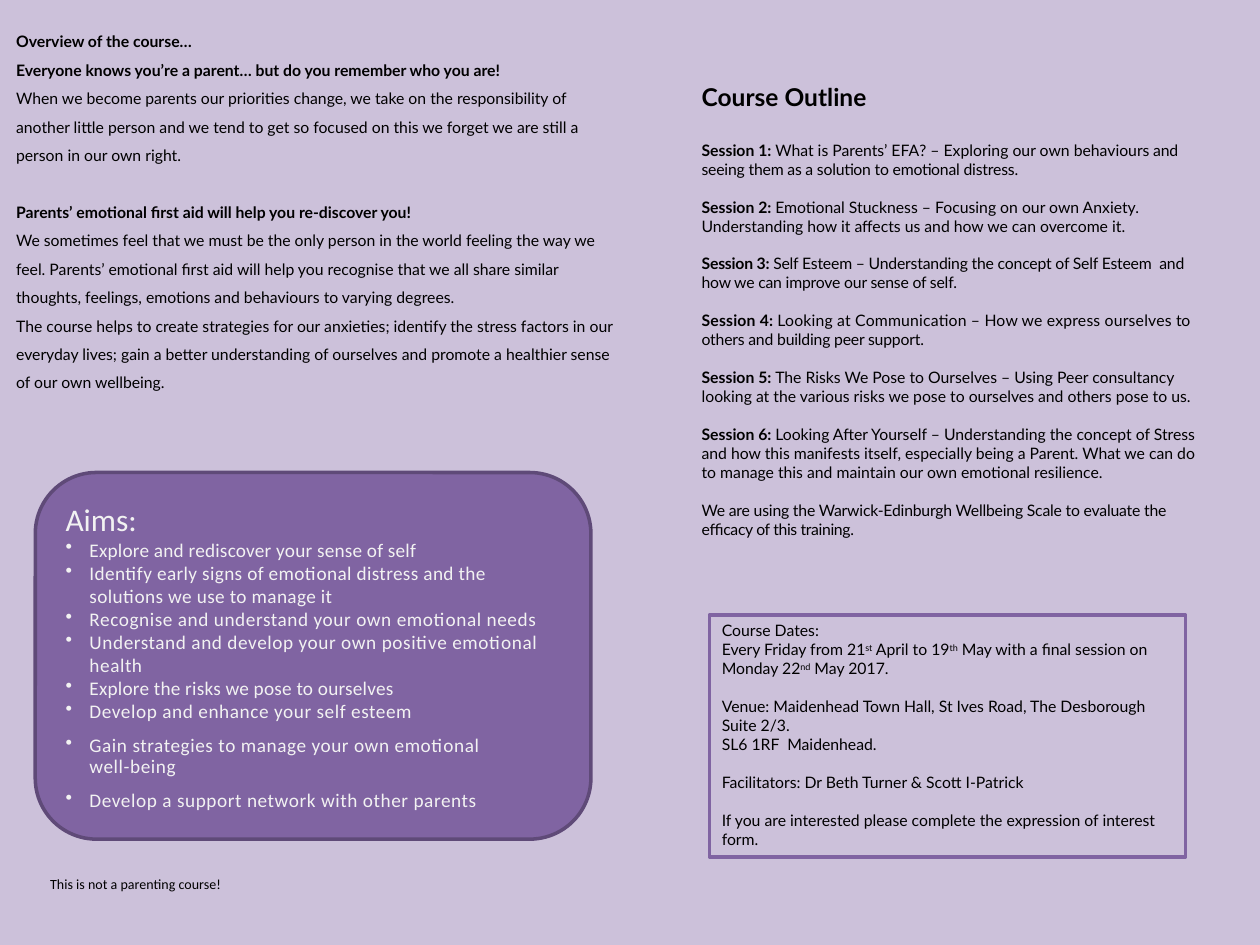
import pptx
import pptx.util
import pptx.dml.color
import pptx.enum.shapes
import pptx.enum.text
from lxml import etree

Inches, Pt = pptx.util.Inches, pptx.util.Pt
RGB = pptx.dml.color.RGBColor
Shape = pptx.enum.shapes.MSO_SHAPE
Align = pptx.enum.text.PP_ALIGN
Anchor = pptx.enum.text.MSO_ANCHOR

LILAC = RGB(0xCC, 0xC1, 0xDA)
PURPLE = RGB(0x80, 0x64, 0xA2)
PLUM = RGB(0x5F, 0x4A, 0x78)
PALE = RGB(0xF2, 0xF2, 0xF2)
BLACK = RGB(0, 0, 0)


class Page:
    """Holds the slide and the text style in use."""

    def __init__(self, slide):
        self.slide = slide
        self.style("Lato", 9, BLACK)

    def style(self, font, size, color):
        self.font, self.size, self.color = font, size, color

    def frame(self, shape, anchor):
        frame = shape.text_frame
        frame.word_wrap = True
        frame.vertical_anchor = anchor
        return frame

    def text(self, left, top, width, height):
        box = self.slide.shapes.add_textbox(
            Inches(left), Inches(top), Inches(width), Inches(height))
        return self.frame(box, Anchor.TOP)

    def panel(self, kind, left, top, width, height, fill, line, anchor):
        shape = self.slide.shapes.add_shape(
            kind, Inches(left), Inches(top), Inches(width), Inches(height))
        shape.shadow.inherit = False
        shape.fill.solid()
        shape.fill.fore_color.rgb = fill
        shape.line.color.rgb = line
        shape.line.width = Pt(2)
        return self.frame(shape, anchor)

    def para(self, frame, text, size=None, bold=False, track=0, gap=0, pitch=None):
        """Add a paragraph, using the empty first one if it is free."""
        par = frame.paragraphs[0]
        if par.runs:
            par = frame.add_paragraph()
        par.alignment = Align.LEFT
        if gap:
            par.space_before = Pt(gap)
        if pitch:
            par.line_spacing = pitch
        par.text = text
        for run in par.runs:
            self.format(run, size, bold, track)
        return par

    def run(self, par, text, bold=False, track=0, base=0):
        run = par.add_run()
        run.text = text
        self.format(run, None, bold, track)
        if base:
            run.font._element.set("baseline", str(base * 1000))

    def format(self, run, size, bold, track):
        font = run.font
        font.name, font.size = self.font, Pt(size or self.size)
        font.bold, font.color.rgb = bold, self.color
        if track:
            font._element.set("spc", str(round(track * 100)))

    def bullet(self, par):
        props = par._p.get_or_add_pPr()
        props.set("marL", str(Inches(0.19)))
        props.set("indent", str(-Inches(0.19)))
        mark = etree.SubElement(props, pptx.oxml.ns.qn("a:buChar"))
        mark.set("char", "•")


AIMS = [  # text, tracking, space before, line pitch
    ("Explore and rediscover your sense of self", 0.1, 0, None),
    ("Identify early signs of emotional distress and the solutions we use to manage it", 0.2, 0, None),
    ("Recognise and understand your own emotional needs", 0.3, 0, None),
    ("Understand and develop your own positive emotional health", 0.3, 0, None),
    ("Explore the risks we pose to ourselves", 0.1, 0, None),
    ("Develop and enhance your self esteem", 0.3, 0, Pt(13)),
    ("Gain strategies to manage your own emotional\vwell-being", 0.3, 7.5, Pt(12)),
    ("Develop a support network with other parents", 0.3, 7.5, Pt(12)),
]

SESSIONS = [  # label tracking, then (text, tracking) parts
    (0, [("What is Parents’ EFA? – Exploring our own behaviours ", 0),
         ("and seeing them as a solution to emotional distress.", -0.1)]),
    (0, [("Emotional Stuckness – Focusing on our own Anxiety. Understanding how it "
          "affects us and how we can overcome it.", 0)]),
    (-0.1, [("Self Esteem – Understanding the concept of Self Esteem  and how we can "
             "improve our sense of self.", -0.1)]),
    (0.1, [("Looking at Communication – How we express ourselves ", 0.1),
           ("to others and building peer support.", -0.1)]),
    (0, [("The Risks We Pose to Ourselves – Using Peer consultancy looking at the "
          "various risks we pose to ourselves and others pose to us.", 0)]),
    (0, [("Looking After Yourself – Understanding the concept of Stress and how this "
          "manifests itself, especially being a Parent. What we can do to manage this "
          "and maintain our own emotional resilience.", 0)]),
]

OVERVIEW = [  # text, bold, space before
    ("Overview of the course…", True, 0),
    ("Everyone knows you’re a parent… but do you remember who you are!", True, 0),
    ("When we become parents our priorities change, we take on the responsibility of "
     "another little person and we tend to get so focused on this we forget we are "
     "still a person in our own right.", False, 0),
    ("Parents’ emotional first aid will help you re-discover you!", True, 16.2),
    ("We sometimes feel that we must be the only person in the world feeling the way "
     "we feel. Parents’ emotional first aid will help you recognise that we all share "
     "similar thoughts, feelings, emotions and behaviours to varying degrees.", False, 0),
    ("The course helps to create strategies for our anxieties; identify the stress "
     "factors in our everyday lives; gain a better understanding of ourselves and "
     "promote a healthier sense of our own wellbeing.", False, 0),
]

DATES = [("Every Friday from 21", 0), ("st", 30), (" April to 19", 0), ("th", 30),
         (" May with a final session on Monday 22", 0), ("nd", 30), (" May 2017.", 0)]

VENUE = [  # text, space before
    ("Venue: Maidenhead Town Hall, St Ives Road, The Desborough Suite 2/3.", 10.8),
    ("SL6 1RF  Maidenhead.", 0),
    ("Facilitators: Dr Beth Turner & Scott I-Patrick", 10.8),
    ("If you are interested please complete the expression of interest form.", 10.8),
]


def main():
    deck = pptx.Presentation()
    deck.slide_width, deck.slide_height = Inches(10), Inches(7.5)
    slide = deck.slides.add_slide(deck.slide_layouts[6])
    slide.background.fill.solid()
    slide.background.fill.fore_color.rgb = LILAC
    page = Page(slide)

    # Aims panel
    page.style("Calibri", 11, PALE)
    aims = page.panel(Shape.ROUNDED_RECTANGLE, 0.28, 3.75, 4.41, 2.91,
                      PURPLE, PLUM, Anchor.MIDDLE)
    page.para(aims, "Aims:", size=18)
    for text, track, gap, pitch in AIMS:
        page.bullet(page.para(aims, text, track=track, gap=gap, pitch=pitch))

    # Footnote
    page.style("Calibri", 8, BLACK)
    page.para(page.text(0.3, 6.9, 4.46, 0.24), "This is not a parenting course!")

    # Course outline
    page.style("Lato", 9, BLACK)
    plan = page.text(5.47, 0.6, 4.25, 3.9)
    page.para(plan, "Course Outline", size=14, bold=True)
    for num, (track, parts) in enumerate(SESSIONS, 1):
        par = page.para(plan, f"Session {num}: ", bold=True, track=track,
                        gap=16.8 if num == 1 else 10.8)
        for text, space in parts:
            page.run(par, text, track=space)
    par = page.para(plan, "We are using the Warwick-Edinburgh Wellbeing Scale to evaluate the ",
                    track=-0.1, gap=10.8)
    page.run(par, "efficacy of this training.", track=-0.2)

    # Dates and venue
    dates = page.panel(Shape.RECTANGLE, 5.63, 4.88, 3.78, 1.92, LILAC, PURPLE, Anchor.TOP)
    page.para(dates, "Course Dates:")
    par = page.para(dates, "")
    for text, base in DATES:
        page.run(par, text, base=base)
    for text, gap in VENUE:
        page.para(dates, text, gap=gap)

    # Overview
    about = page.text(0.03, 0.13, 5, 3.28)
    for text, bold, gap in OVERVIEW:
        page.para(about, text, bold=bold, gap=gap, pitch=1.5)

    deck.save("out.pptx")


if __name__ == "__main__":
    main()
